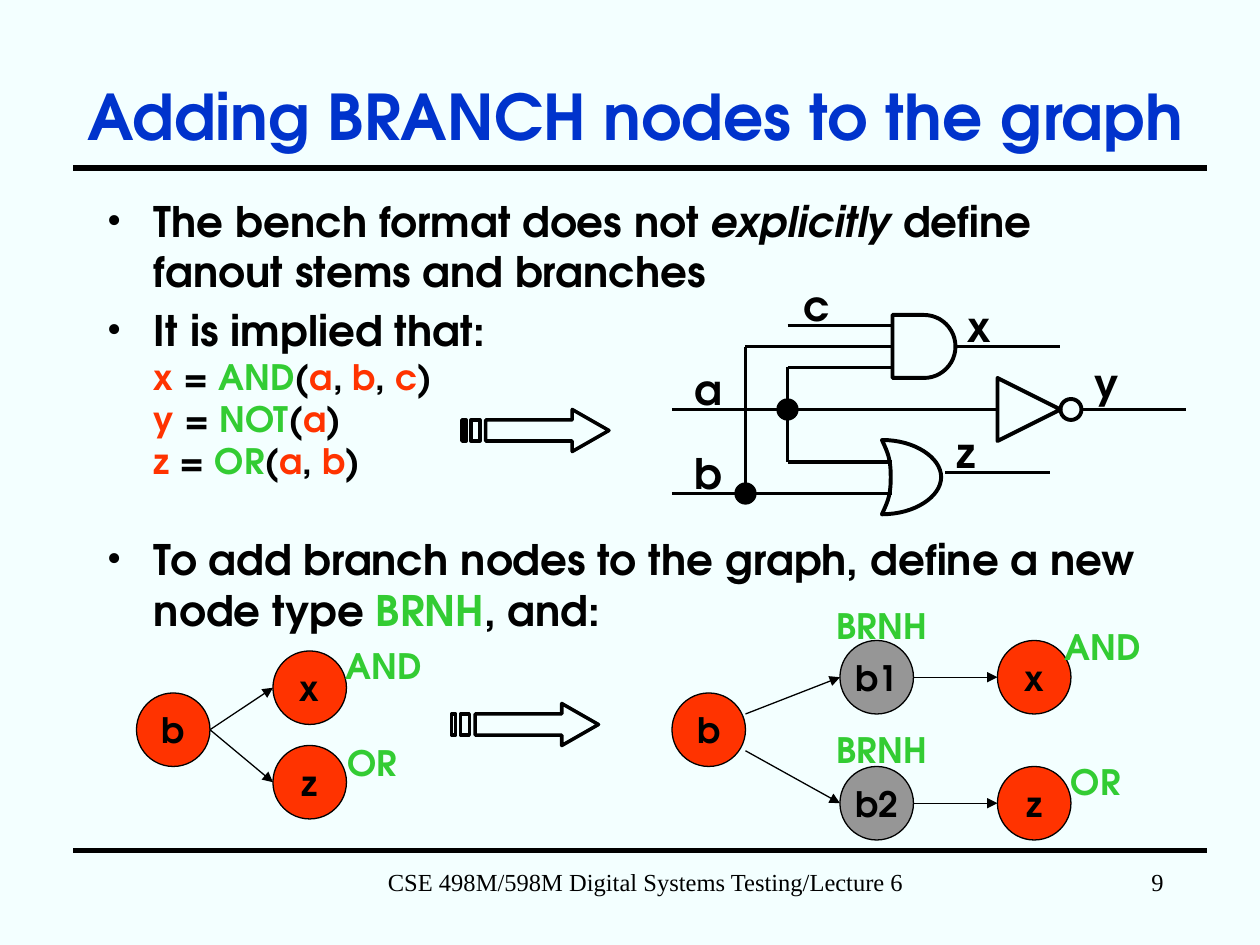
from collections import namedtuple

from lxml.etree import SubElement
from pptx import Presentation
from pptx.dml.color import RGBColor
from pptx.enum.shapes import MSO_CONNECTOR, MSO_SHAPE
from pptx.enum.text import MSO_ANCHOR, MSO_AUTO_SIZE, PP_ALIGN
from pptx.oxml.ns import qn
from pptx.util import Cm, Pt

BLACK = RGBColor(0x00, 0x00, 0x00)
BLUE = RGBColor(0x00, 0x33, 0xCC)
RED = RGBColor(0xFF, 0x33, 0x00)
GREEN = RGBColor(0x33, 0xCC, 0x33)
GRAY = RGBColor(0x96, 0x96, 0x96)
PALE = RGBColor(0xF3, 0xFF, 0xFF)
SANS, SERIF = "TeX Gyre Adventor", "Times New Roman"

# Places and sizes are counted in grid steps, twelve to the inch
STEP_CM = 2.54 / 12
NODE = 7
TAG_WIDTHS = {"AND": 9.84, "OR": 7.2, "BRNH": 12.12}
Box = namedtuple("Box", "left top width height")


def steps(*counts):
    return [Cm(count * STEP_CM) for count in counts]


def inside(box, x, y, width=0, height=0):
    return Box(box.left + x, box.top + y, width, height)


def write(paragraph, text, size=24, color=BLACK, font=SANS, bold=True, italic=False):
    run = paragraph.add_run()
    run.text = text
    run.font.size, run.font.name = Pt(size), font
    run.font.bold, run.font.italic = bold, italic
    run.font.color.rgb = color


def add_label(slide, box, text, align=PP_ALIGN.LEFT, wrap=False, **style):
    label = slide.shapes.add_textbox(*steps(*box))
    label.text_frame.word_wrap = wrap
    paragraph = label.text_frame.paragraphs[0]
    paragraph.alignment = align
    write(paragraph, text, **style)


def finish(shape, fill=None, weight=2.25):
    shape.shadow.inherit = False
    if fill is None:
        shape.fill.background()
    else:
        shape.fill.solid()
        shape.fill.fore_color.rgb = fill
    shape.line.color.rgb = BLACK
    shape.line.width = Pt(weight)


def add_preset(shapes, kind, box, **look):
    shape = shapes.add_shape(kind, *steps(*box))
    finish(shape, **look)
    return shape


def add_line(slide, box, ends, weight=2, arrow=False):
    x1, y1, x2, y2 = ends
    line = slide.shapes.add_connector(
        MSO_CONNECTOR.STRAIGHT,
        *steps(box.left + x1, box.top + y1, box.left + x2, box.top + y2))
    line.line.color.rgb = BLACK
    line.line.width = Pt(weight)
    if arrow:
        SubElement(line.line._get_or_add_ln(), qn("a:tailEnd"), type="triangle")
    SubElement(line._element.spPr, qn("a:effectLst"))


def add_outline(slide, box, contours, weight):
    """Draw closed contours whose points are relative to the box."""
    placed = [[steps(box.left + x, box.top + y) for x, y in contour]
              for contour in contours]
    builder = slide.shapes.build_freeform(*placed[0][0])
    for index, (start, *rest) in enumerate(placed):
        if index:
            builder.move_to(*start)
        builder.add_line_segments(rest, close=True)
    finish(builder.convert_to_shape(), weight=weight)


def bezier(p0, p1, p2, p3, count=16):
    for t in (i / count for i in range(1, count + 1)):
        weights = ((1 - t) ** 3, 3 * t * (1 - t) ** 2, 3 * t * t * (1 - t), t ** 3)
        yield tuple(sum(w * p[axis] for w, p in zip(weights, (p0, p1, p2, p3)))
                    for axis in (0, 1))


def add_title(slide, box, text):
    title = slide.shapes.title
    title.left, title.top, title.width, title.height = steps(*box)
    frame = title.text_frame
    frame.word_wrap, frame.auto_size = True, MSO_AUTO_SIZE.NONE
    frame.vertical_anchor = MSO_ANCHOR.MIDDLE
    frame.paragraphs[0].alignment = PP_ALIGN.CENTER
    write(frame.paragraphs[0], text, size=36, color=BLUE)


def add_bullet(paragraph, space):
    paragraph.space_before = Pt(space)
    properties = paragraph._p.get_or_add_pPr()
    indent = Cm(0.95)
    properties.set("marL", str(indent))
    properties.set("indent", str(-indent))
    SubElement(properties, qn("a:buFont"), typeface=SERIF)
    SubElement(properties, qn("a:buChar"), char="•")


def write_equation(paragraph, output, gate, inputs):
    paragraph.add_line_break()
    parts = [(output, RED), (" = ", BLACK), (gate, GREEN), ("(", BLACK), (inputs[0], RED)]
    for name in inputs[1:]:
        parts += [(",", BLACK), (f" {name}", RED)]
    for text, color in parts + [(")", BLACK)]:
        write(paragraph, text, size=20, color=color)


def add_body(slide, box):
    frame = slide.shapes.add_textbox(*steps(*box)).text_frame
    frame.word_wrap = True
    stems = frame.paragraphs[0]
    implied, branches = frame.add_paragraph(), frame.add_paragraph()
    for paragraph, space in ((stems, 6), (implied, 5), (branches, 30)):
        add_bullet(paragraph, space)

    write(stems, "The bench format does not ")
    write(stems, "explicitly", italic=True)
    write(stems, " define fanout stems and branches")

    write(implied, "It is implied that:")
    for equation in (("x", "AND", "abc"), ("y", "NOT", "a"), ("z", "OR", "ab")):
        write_equation(implied, *equation)

    write(branches, "To add branch nodes to the graph, define a new node type ")
    write(branches, "BRNH", color=GREEN)
    write(branches, ", and:")


def add_striped_arrow(slide, box):
    neck, middle, low, high = box.width - 3.5, box.height / 2, 1, box.height - 1
    head = [(2.25, low), (neck, low), (neck, 0), (box.width, middle),
            (neck, box.height), (neck, high), (2.25, high)]
    stripes = [[(x1, low), (x2, low), (x2, high), (x1, high)]
               for x1, x2 in ((0, 0.4), (0.85, 1.7))]
    add_outline(slide, box, [head, *stripes], weight=2)


def add_circuit(slide, box):
    # Wires, split where they meet a stem or a gate
    for ends in ((11, 5, 21, 5), (7, 7, 21, 7), (11, 9, 21, 9),
                 (0, 13, 10, 13), (12, 13, 22, 13), (21, 13, 31, 13),
                 (0, 21, 12, 21), (11, 21, 21, 21), (11, 18, 21, 18),
                 (7, 21, 7, 7), (11, 18, 11, 9),
                 (27, 7, 37, 7), (26, 19, 36, 19), (39, 13, 49, 13)):
        add_line(slide, box, ends)
    # Fanout stems
    for x, y in ((11, 13), (7, 21)):
        add_preset(slide.shapes, MSO_SHAPE.OVAL, inside(box, x - 1, y - 1, 2, 2),
                   fill=BLACK, weight=0.75)
    # AND, OR and NOT gates
    add_preset(slide.shapes, MSO_SHAPE.FLOWCHART_DELAY, inside(box, 21, 4, 6, 6))
    top, bottom, back, tip = (0, 0), (0, 7.08), (0.84, 3.54), (5.64, 3.54)
    or_gate = [top,
               *bezier(top, (0.48, 1.08), (0.84, 1.68), back),
               *bezier(back, (0.84, 5.4), (0.48, 6), bottom),
               *bezier(bottom, (3.12, 7.08), (5.64, 5.4), tip),
               *bezier(tip, (5.64, 1.68), (3.12, 0), top)]
    add_outline(slide, inside(box, 20, 15.9), [or_gate], weight=2.25)
    inverter = slide.shapes.add_group_shape().shapes
    add_preset(inverter, MSO_SHAPE.ISOSCELES_TRIANGLE, inside(box, 31, 10, 6, 6)).rotation = 90
    add_preset(inverter, MSO_SHAPE.OVAL, inside(box, 37, 12, 2, 2))
    # Signal names
    for name, x, y, width in (("a", 1, 8, 4.8), ("b", 1, 16, 4.9), ("c", 11.3, 0, 4.4),
                              ("x", 27, 2, 4.7), ("z", 25.9, 14, 4.3), ("y", 39.1, 7.5, 4.7)):
        add_label(slide, inside(box, x, y, width, 6), name)


def add_graph(slide, box, nodes, edges, tags):
    for name, x, y, color in nodes:
        node = add_preset(slide.shapes, MSO_SHAPE.OVAL, inside(box, x, y, NODE, NODE),
                          fill=color, weight=0.75)
        frame = node.text_frame
        frame.word_wrap, frame.vertical_anchor = False, MSO_ANCHOR.MIDDLE
        frame.paragraphs[0].alignment = PP_ALIGN.CENTER
        write(frame.paragraphs[0], name, size=20)
    for ends in edges:
        add_line(slide, box, ends, weight=0.75, arrow=True)
    for text, x, y in tags:
        add_label(slide, inside(box, x, y, TAG_WIDTHS[text], 5.28), text, size=20, color=GREEN)


def add_frame(slide, box):
    for y in (0, box.height):
        add_line(slide, box, (0, y, box.width, y), weight=3)
    footer = dict(wrap=True, size=14, font=SERIF, bold=False)
    footer_top = box.height + 1
    add_label(slide, inside(box, 26, footer_top, 57, 4),
              "CSE 498M/598M Digital Systems Testing/Lecture 6", align=PP_ALIGN.CENTER, **footer)
    add_label(slide, inside(box, 91, footer_top, 14, 4), "9", align=PP_ALIGN.RIGHT, **footer)


def main():
    deck = Presentation()
    deck.slide_width, deck.slide_height = steps(120, 90)
    slide = deck.slides.add_slide(deck.slide_layouts[5])
    slide.background.fill.solid()
    slide.background.fill.fore_color.rgb = PALE

    add_frame(slide, Box(7, 16, 108, 65))
    add_title(slide, Box(5, 7, 111, 8), "Adding BRANCH nodes to the graph")
    add_body(slide, Box(9, 18, 102, 54))
    add_striped_arrow(slide, Box(44, 39, 14, 4))
    add_circuit(slide, Box(64, 26, 49, 22))
    # Graph before and after the branch nodes are added
    add_graph(slide, Box(13, 62, 27, 16),
              nodes=(("b", 0, 4, RED), ("z", 13, 9, RED), ("x", 13, 0, RED)),
              edges=((7, 7.5, 13, 3.5), (7, 7.5, 13, 12.5)),
              tags=(("AND", 18.7, -1.2), ("OR", 18.9, 8)))
    add_striped_arrow(slide, Box(43, 67, 14, 4))
    add_graph(slide, Box(64, 61, 46, 19),
              nodes=(("b", 0, 5, RED), ("z", 31, 12, RED), ("x", 31, 0, RED),
                     ("b2", 16, 12, GRAY), ("b1", 16, 0, GRAY)),
              edges=((7, 7, 16, 3.5), (7, 10.5, 16, 15.5),
                     (23, 3.5, 31, 3.5), (23, 15.5, 31, 15.5)),
              tags=(("AND", 36.2, -2), ("OR", 36.8, 10.8),
                    ("BRNH", 14.5, -4), ("BRNH", 14.5, 7.8)))
    deck.save("out.pptx")


if __name__ == "__main__":
    main()
